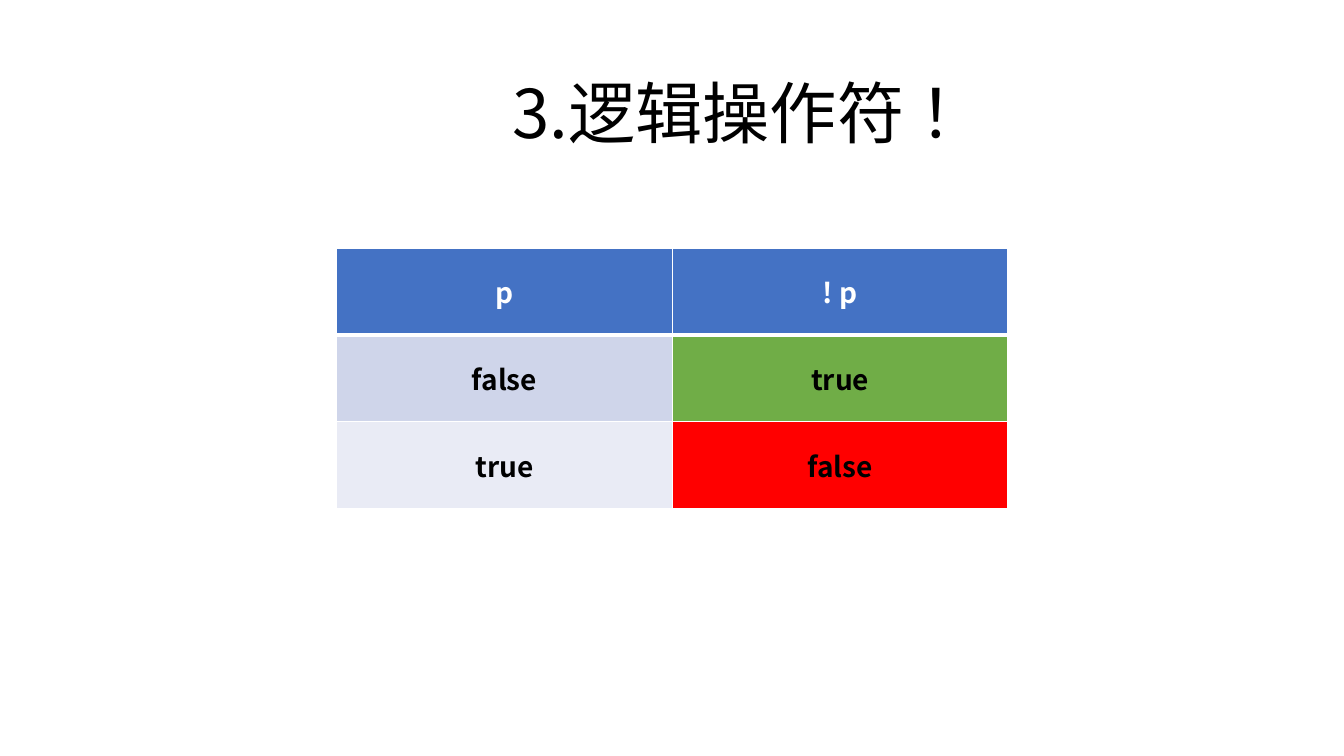
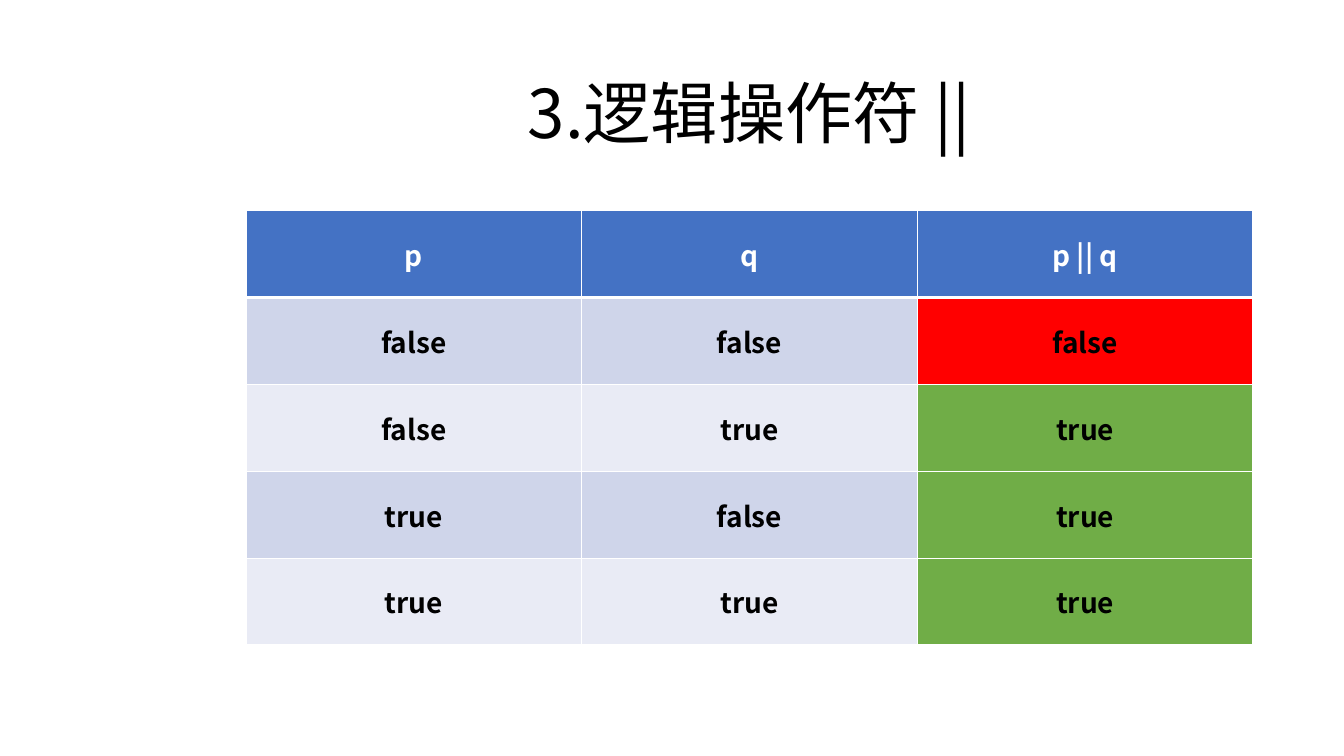
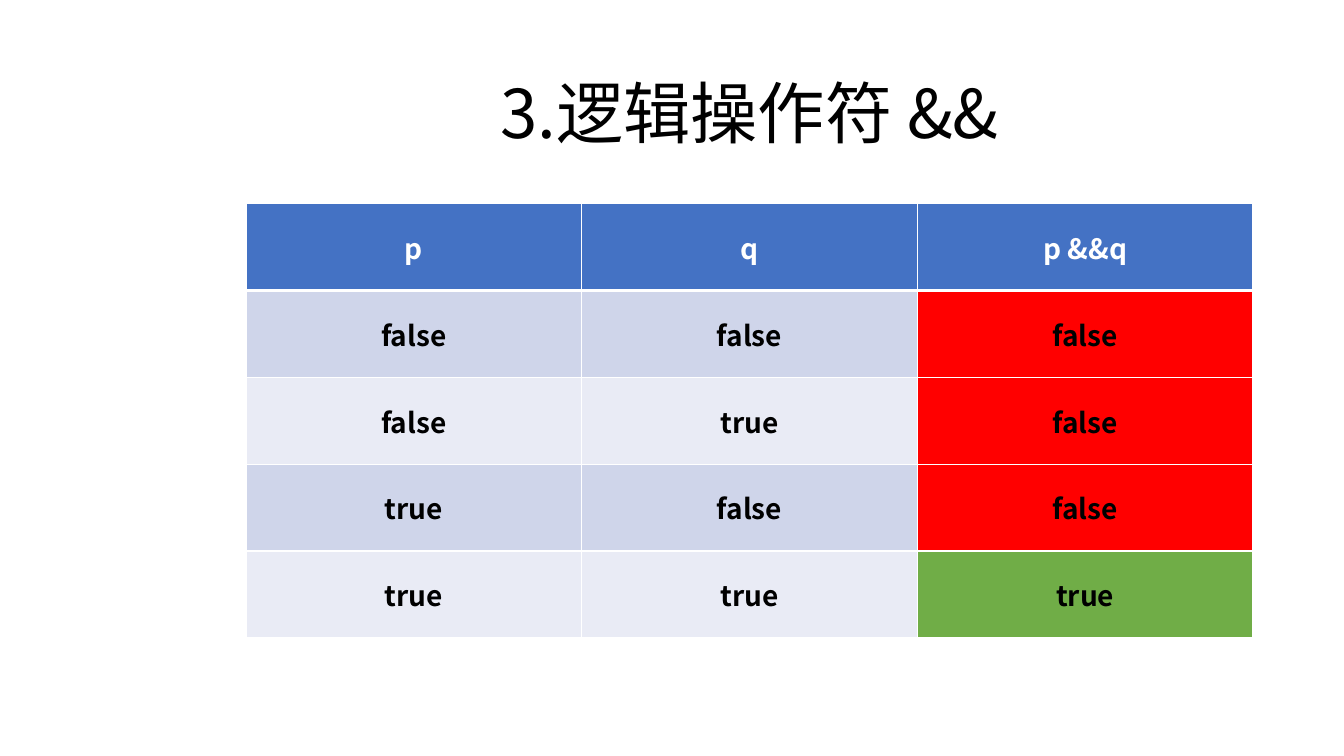
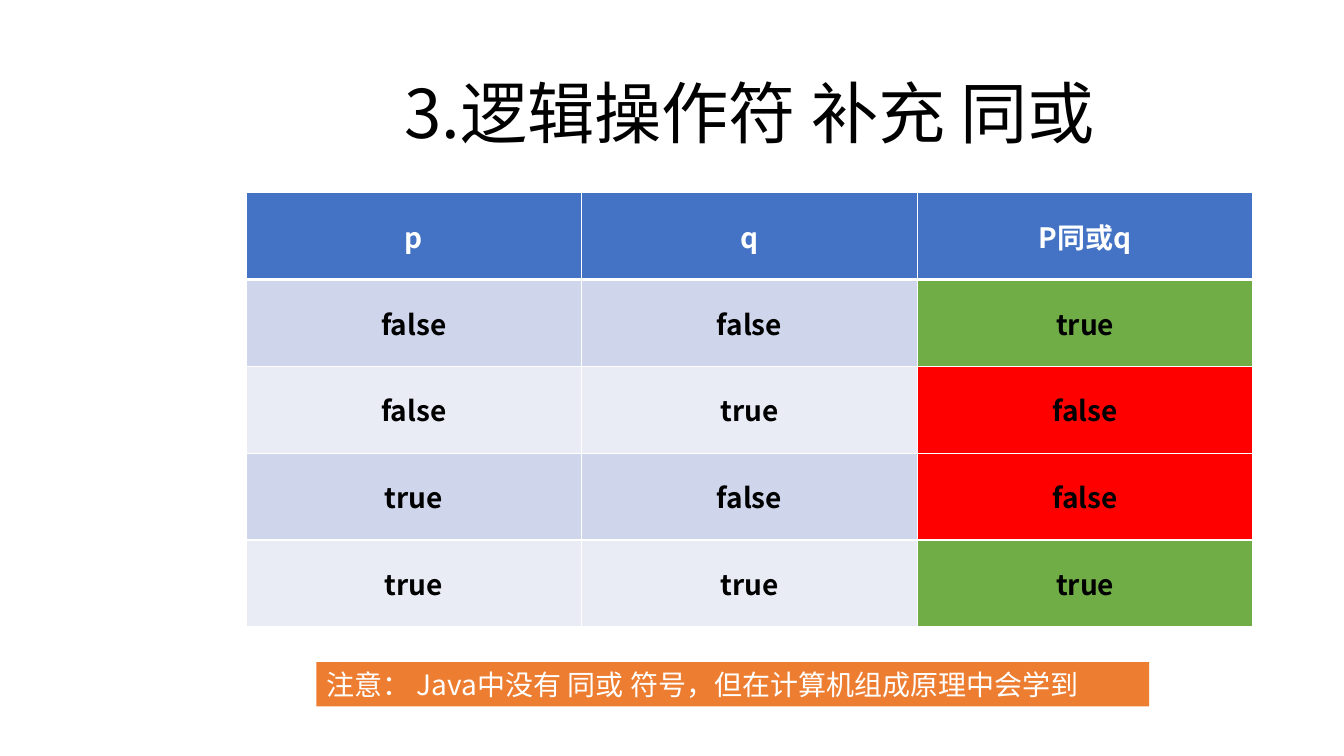
from itertools import product

from lxml import etree
from pptx import Presentation
from pptx.dml.color import RGBColor
from pptx.enum import shapes, text
from pptx.oxml import ns
from pptx.util import Pt

FONT = "Noto Sans CJK SC"
WHITE = RGBColor(0xFF, 0xFF, 0xFF)
BLACK = RGBColor(0x00, 0x00, 0x00)
BLUE = RGBColor(0x44, 0x72, 0xC4)
BANDS = (RGBColor(0xCF, 0xD5, 0xEA), RGBColor(0xE9, 0xEB, 0xF5))
GREEN = RGBColor(0x70, 0xAD, 0x47)
RED = RGBColor(0xFF, 0x00, 0x00)
ORANGE = RGBColor(0xED, 0x7D, 0x31)

TITLE_FORMAT = {"size": Pt(48), "bold": False, "color": BLACK}
HEADER_FORMAT = {"size": Pt(20), "bold": True, "color": WHITE}
VALUE_FORMAT = {**HEADER_FORMAT, "color": BLACK}
NOTE_FORMAT = {**HEADER_FORMAT, "bold": False}

LEFT = 175.7
TITLE_BOX = (LEFT, 46.8, 719.3, 65.5)
NOTE_BOX = (226.1, 473, 594.7, 31.7)
COLUMN_WIDTH = 239.76
ROW_HEIGHT = 62.06

# title, table left and top, header, rule for the last column, note
TRUTH_SLIDES = (
    ("3.逻辑操作符 ！", 240.5, 177.1, ("p", "! p"), lambda p: not p, None),
    ("3.逻辑操作符 ||", LEFT, 150.5, ("p", "q", "p || q"),
     lambda p, q: p or q, None),
    ("3.逻辑操作符 &&", LEFT, 145.4, ("p", "q", "p &&q"),
     lambda p, q: p and q, None),
    ("3.逻辑操作符 补充 同或", LEFT, 137.5, ("p", "q", "P同或q"),
     lambda p, q: p == q,
     "注意： Java中没有 同或 符号，但在计算机组成原理中会学到"),
)


def write(frame, content, format_values, alignment):
    """Put one formatted line into a text frame."""
    paragraph = frame.paragraphs[0]
    paragraph.alignment = alignment
    run = paragraph.add_run()
    run.text = content
    run.font.name = FONT
    for name, value in format_values.items():
        if name == "color":
            run.font.color.rgb = value
        else:
            setattr(run.font, name, value)
    east_asian = etree.SubElement(run.font._element, ns.qn("a:ea"))
    east_asian.set("typeface", FONT)


def place_text(shape, content, format_values, alignment):
    frame = shape.text_frame
    settings = {"word_wrap": True, "auto_size": text.MSO_AUTO_SIZE.NONE,
                "vertical_anchor": text.MSO_ANCHOR.MIDDLE}
    for name, value in settings.items():
        setattr(frame, name, value)
    write(frame, content, format_values, alignment)


def add_title(slide, box, content):
    shape = slide.shapes.add_textbox(*map(Pt, box))
    place_text(shape, content, TITLE_FORMAT, text.PP_ALIGN.CENTER)


def add_note(slide, box, content):
    shape = slide.shapes.add_shape(shapes.MSO_SHAPE.RECTANGLE, *map(Pt, box))
    shape.shadow.inherit = False
    shape.fill.solid()
    shape.fill.fore_color.rgb = ORANGE
    shape.line.fill.background()
    place_text(shape, content, NOTE_FORMAT, text.PP_ALIGN.LEFT)


def set_borders(cell, top, bottom):
    """Draw white cell borders; top and bottom widths are in points."""
    properties = cell._tc.get_or_add_tcPr()
    for side, width in (("L", 1), ("R", 1), ("T", top), ("B", bottom)):
        line = etree.SubElement(properties, ns.qn(f"a:ln{side}"))
        line.set("w", str(Pt(width)))
        fill = etree.SubElement(line, ns.qn("a:solidFill"))
        etree.SubElement(fill, ns.qn("a:srgbClr")).set("val", str(WHITE))


def fill_cell(cell, content, format_values, color, top=1, bottom=1):
    set_borders(cell, top, bottom)
    cell.fill.solid()
    cell.fill.fore_color.rgb = color
    cell.vertical_anchor = text.MSO_ANCHOR.MIDDLE
    write(cell.text_frame, content, format_values, text.PP_ALIGN.CENTER)


def add_truth_table(slide, left, top, header, rule):
    """List every input combination with the result of the rule."""
    inputs = list(product((False, True), repeat=len(header) - 1))
    row_count, column_count = len(inputs) + 1, len(header)
    box = (left, top, COLUMN_WIDTH * column_count, ROW_HEIGHT * row_count)
    table = slide.shapes.add_table(row_count, column_count,
                                   *map(Pt, box)).table
    for column, label in enumerate(header):
        fill_cell(table.cell(0, column), label, HEADER_FORMAT, BLUE, bottom=3)
    for row, values in enumerate(inputs, start=1):
        result = rule(*values)
        colors = [BANDS[(row - 1) % 2]] * len(values)
        colors.append(GREEN if result else RED)
        for column, value in enumerate((*values, result)):
            fill_cell(table.cell(row, column), str(value).lower(),
                      VALUE_FORMAT, colors[column], top=3 if row == 1 else 1)


def add_truth_slide(presentation, title, left, top, header, rule, note):
    slide = presentation.slides.add_slide(presentation.slide_layouts[6])
    add_title(slide, TITLE_BOX, title)
    add_truth_table(slide, left, top, header, rule)
    if note:
        add_note(slide, NOTE_BOX, note)


def main():
    presentation = Presentation()
    presentation.slide_width = Pt(960)
    presentation.slide_height = Pt(540)
    for content in TRUTH_SLIDES:
        add_truth_slide(presentation, *content)
    presentation.save("out.pptx")


if __name__ == "__main__":
    main()
